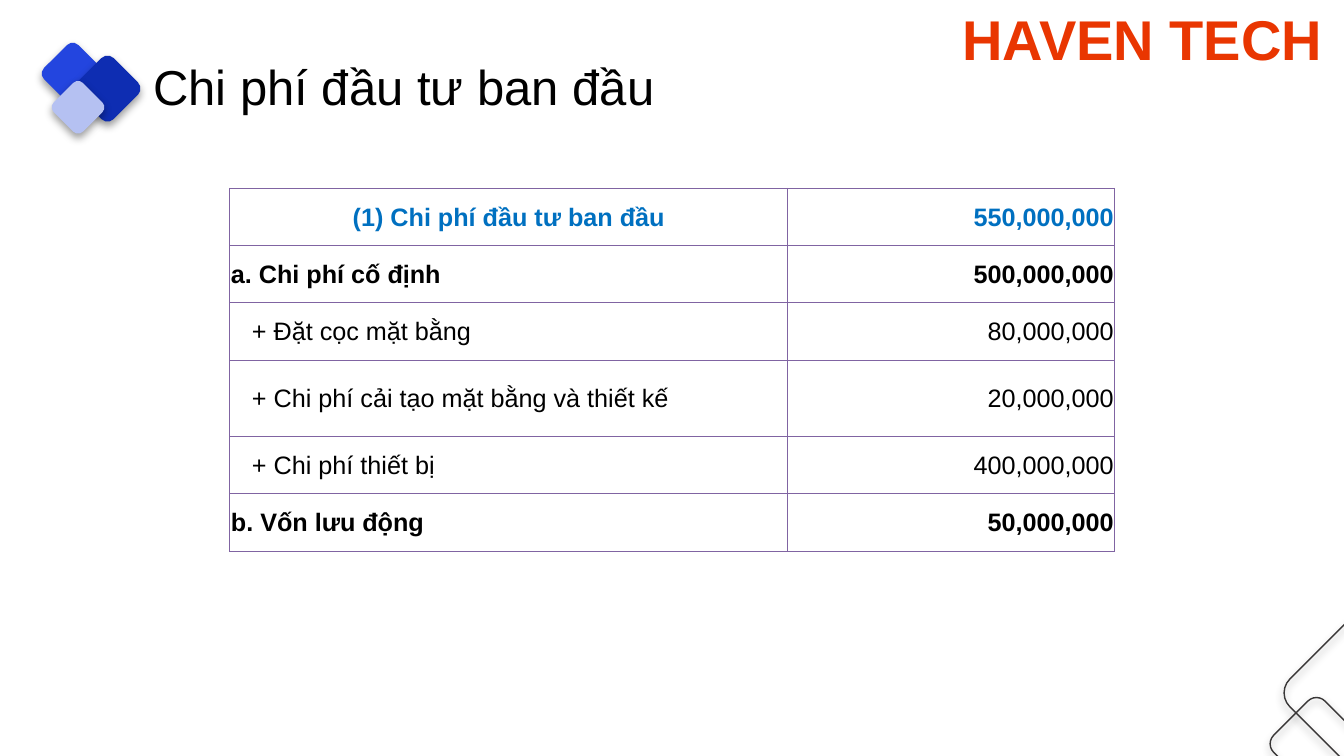
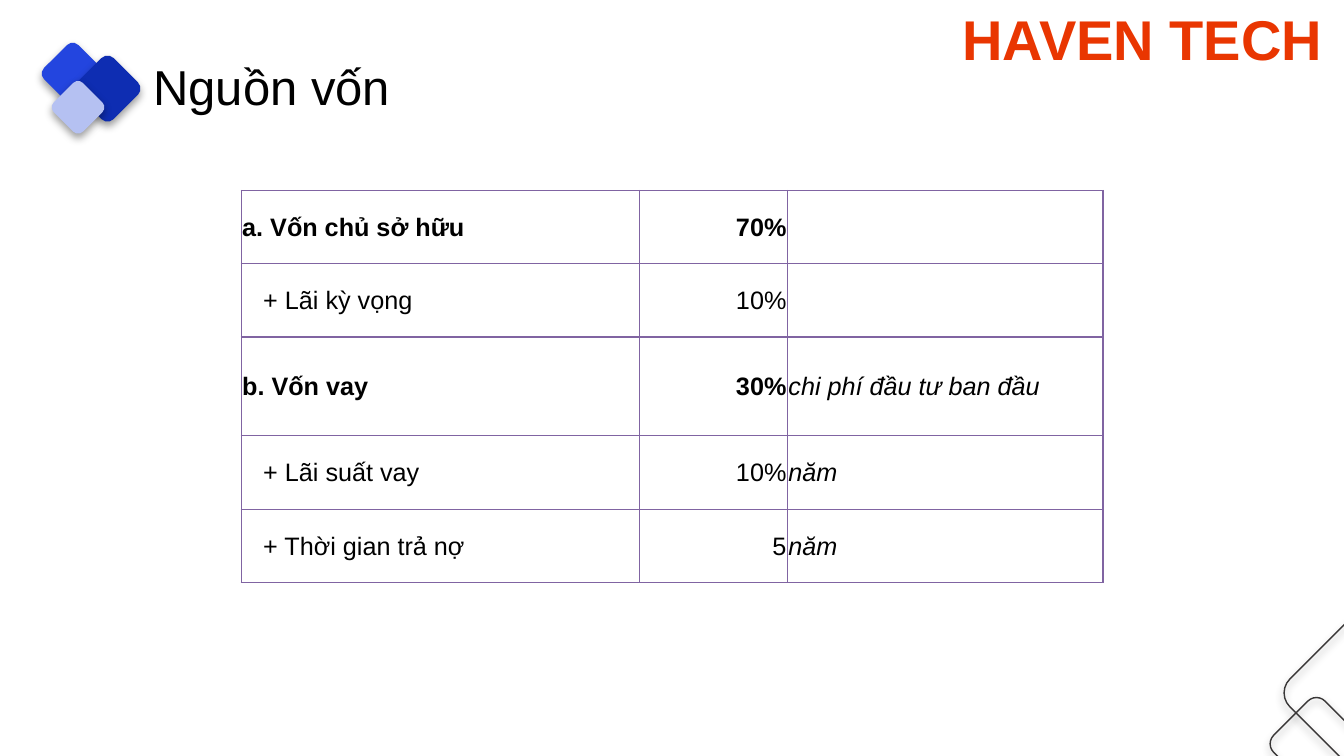
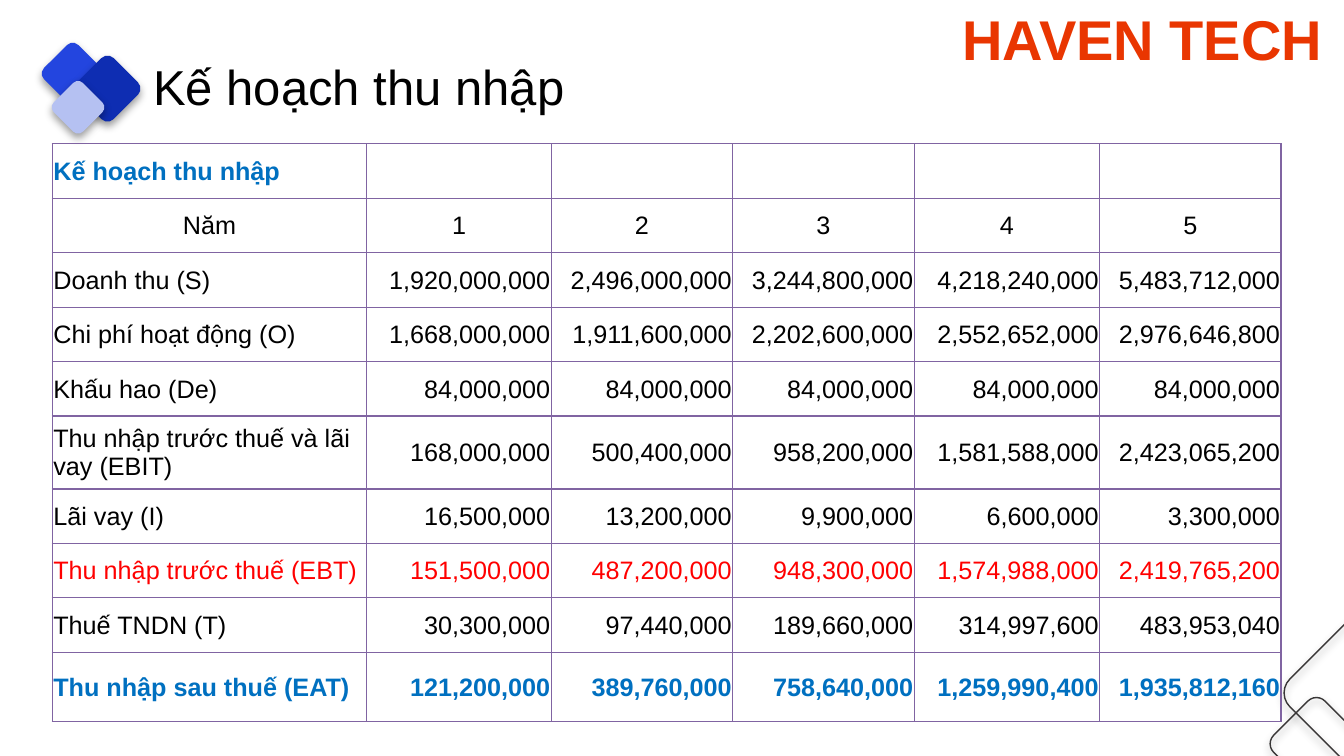
"""Build three finance slides: initial investment, capital sources and income plan."""
from lxml.etree import SubElement
from pptx import Presentation
from pptx.dml.color import RGBColor
from pptx.enum.shapes import MSO_SHAPE
from pptx.enum.text import MSO_ANCHOR, MSO_AUTO_SIZE, PP_ALIGN
from pptx.oxml.ns import qn
from pptx.util import Pt

COLORS = {
    "black": "000000",
    "blue": "0070C0",
    "red": "FF0000",
    "brand": "E93601",
    "border": "8064A2",
    "outline": "393737",
    "diamond_mid": "2345DF",
    "diamond_dark": "0E2DB2",
    "diamond_light": "B5C1F2",
}
FONT = "Arial"
ALIGNMENTS = {"l": PP_ALIGN.LEFT, "c": PP_ALIGN.CENTER, "r": PP_ALIGN.RIGHT}
INSET = 0.75
ITEM_INSET = 15.75
ROW_STYLES = {
    "plain": {"color": "black", "bold": False, "inset": INSET},
    "item": {"color": "black", "bold": False, "inset": ITEM_INSET},
    "group": {"color": "black", "bold": True, "inset": INSET},
    "total": {"color": "blue", "bold": True, "inset": INSET},
    "alert": {"color": "red", "bold": False, "inset": INSET},
}
DIAMONDS = [
    (34.6, 35.3, 34.6, "diamond_mid"),
    (58.3, 44.8, 37, "diamond_dark"),
    (41, 61.9, 29.5, "diamond_light"),
    (914.4, 505.4, 51.8, None),
    (928.8, 453, 83.9, None),
]
SLIDES = [
    {
        "title": "Chi phí đầu tư ban đầu",
        "at": (164.2, 134.6),
        "columns": [398.5, 233.5],
        "heights": [40.9, 40.9, 40.9, 54.7, 40.9, 40.9],
        "note_column": None,
        "rows": [
            ("total", "cr", ["(1) Chi phí đầu tư ban đầu", "550,000,000"]),
            ("group", "lr", ["a. Chi phí cố định", "500,000,000"]),
            ("item", "lr", ["+ Đặt cọc mặt bằng", "80,000,000"]),
            ("item", "lr", ["+ Chi phí cải tạo mặt bằng và thiết kế", "20,000,000"]),
            ("item", "lr", ["+ Chi phí thiết bị", "400,000,000"]),
            ("group", "lr", ["b. Vốn lưu động", "50,000,000"]),
        ],
    },
    {
        "title": "Nguồn vốn",
        "at": (172.3, 136),
        "columns": [284.4, 105.8, 225.4],
        "heights": [52.4, 52.4, 70.5, 52.4, 52.4],
        "note_column": 2,
        "rows": [
            ("group", "lrl", ["a. Vốn chủ sở hữu", "70%", ""]),
            ("item", "lrl", ["+ Lãi kỳ vọng", "10%", ""]),
            ("group", "lrl", ["b. Vốn vay", "30%", "chi phí đầu tư ban đầu"]),
            ("item", "lrl", ["+ Lãi suất vay", "10%", "năm"]),
            ("item", "lrl", ["+ Thời gian trả nợ", "5", "năm"]),
        ],
    },
    {
        "title": "Kế hoạch thu nhập",
        "at": (37.4, 102.7),
        "columns": [224.6, 131.8, 129.6, 129.6, 132.5, 129.6],
        "heights": [38.9] * 5 + [52.1] + [38.9] * 3 + [49.3],
        "note_column": None,
        "rows": [
            ("total", "lrrrrr", ["Kế hoạch thu nhập", "", "", "", "", ""]),
            ("plain", "cccccc", ["Năm", "1", "2", "3", "4", "5"]),
            ("plain", "lrrrrr", ["Doanh thu (S)", "1,920,000,000", "2,496,000,000",
                                 "3,244,800,000", "4,218,240,000", "5,483,712,000"]),
            ("plain", "lrrrrr", ["Chi phí hoạt động (O)", "1,668,000,000", "1,911,600,000",
                                 "2,202,600,000", "2,552,652,000", "2,976,646,800"]),
            ("plain", "lrrrrr", ["Khấu hao (De)"] + ["84,000,000"] * 5),
            ("plain", "lrrrrr", ["Thu nhập trước thuế và lãi vay (EBIT)", "168,000,000",
                                 "500,400,000", "958,200,000", "1,581,588,000",
                                 "2,423,065,200"]),
            ("plain", "lrrrrr", ["Lãi vay (I)", "16,500,000", "13,200,000", "9,900,000",
                                 "6,600,000", "3,300,000"]),
            ("alert", "lrrrrr", ["Thu nhập trước thuế (EBT)", "151,500,000", "487,200,000",
                                 "948,300,000", "1,574,988,000", "2,419,765,200"]),
            ("plain", "lrrrrr", ["Thuế TNDN (T)", "30,300,000", "97,440,000", "189,660,000",
                                 "314,997,600", "483,953,040"]),
            ("total", "lrrrrr", ["Thu nhập sau thuế (EAT)", "121,200,000", "389,760,000",
                                 "758,640,000", "1,259,990,400", "1,935,812,160"]),
        ],
    },
]


def format_text(paragraph, size, color, **settings):
    font = paragraph.font
    font.color.rgb = RGBColor.from_string(COLORS[color])
    for name, value in {"name": FONT, "size": Pt(size), **settings}.items():
        setattr(font, name, value)


def add_borders(cell):
    properties = cell._tc.get_or_add_tcPr()
    for side in ("a:lnL", "a:lnR", "a:lnT", "a:lnB"):
        line = SubElement(properties, qn(side), w=str(Pt(1)))
        fill = SubElement(line, qn("a:solidFill"))
        SubElement(fill, qn("a:srgbClr"), val=COLORS["border"])


deck = Presentation()
deck.slide_width, deck.slide_height = Pt(960), Pt(540)
layout = deck.slide_layouts[5]
layout_title = layout.placeholders[0]
layout_title.left, layout_title.top = Pt(102.2), Pt(36.7)
layout_title.width, layout_title.height = Pt(692.6), Pt(49.7)
pages = [deck.slides.add_slide(layout) for content in SLIDES]

shared = []
for left, top, size, color in DIAMONDS:
    diamond = pages[0].shapes.add_shape(
        MSO_SHAPE.ROUNDED_RECTANGLE, Pt(left), Pt(top), Pt(size), Pt(size))
    diamond.rotation = 45
    if color:
        diamond.fill.solid()
        diamond.fill.fore_color.rgb = RGBColor.from_string(COLORS[color])
        diamond.line.fill.background()
    else:
        diamond.fill.background()
        diamond.line.color.rgb = RGBColor.from_string(COLORS["outline"])
        diamond.line.width = Pt(1)
    diamond.shadow.inherit = False
    effects = diamond.element.spPr.find(qn("a:effectLst"))
    shadow = SubElement(effects, qn("a:outerShdw"), blurRad=str(Pt(6)), dist=str(Pt(3)),
                        dir="5400000", algn="t", rotWithShape="0")
    shade = SubElement(shadow, qn("a:srgbClr"), val=COLORS["black"])
    SubElement(shade, qn("a:alpha"), val="39000")
    shared.append(diamond)

company = pages[0].shapes.add_textbox(Pt(680.4), Pt(0), Pt(279.6), Pt(55.4))
company.text_frame.word_wrap = True
company.text_frame.text = "HAVEN TECH"
format_text(company.text_frame.paragraphs[0], 40, "brand", bold=True)
shared.append(company)
for shape in shared:
    layout.shapes.element.append(shape.element)

for page, content in zip(pages, SLIDES):
    frame = page.shapes.title.text_frame
    frame.text = content["title"]
    frame.word_wrap = True
    frame.auto_size = MSO_AUTO_SIZE.NONE
    frame.vertical_anchor = MSO_ANCHOR.MIDDLE
    frame.paragraphs[0].alignment = PP_ALIGN.LEFT
    format_text(frame.paragraphs[0], 35, "black")

    left, top = content["at"]
    columns, heights, rows = content["columns"], content["heights"], content["rows"]
    table = page.shapes.add_table(len(rows), len(columns), Pt(left), Pt(top),
                                  Pt(sum(columns)), Pt(sum(heights))).table
    table.first_row = table.horz_banding = False
    for column, width in zip(table.columns, columns):
        column.width = Pt(width)
    for row, height, (style_name, alignments, texts) in zip(table.rows, heights, rows):
        row.height = Pt(height)
        style = ROW_STYLES[style_name]
        for index, (cell, letter, text) in enumerate(zip(row.cells, alignments, texts)):
            add_borders(cell)
            cell.fill.background()
            cell.vertical_anchor = MSO_ANCHOR.MIDDLE
            cell.margin_left = Pt(style["inset"] if index == 0 else INSET)
            cell.margin_right = cell.margin_top = Pt(INSET)
            cell.margin_bottom = Pt(0)
            cell.text = text
            paragraph = cell.text_frame.paragraphs[0]
            paragraph.alignment = ALIGNMENTS[letter]
            is_note = index == content["note_column"]
            format_text(paragraph, 18, style["color"],
                        bold=style["bold"] and not is_note, italic=is_note)

deck.save("out.pptx")
